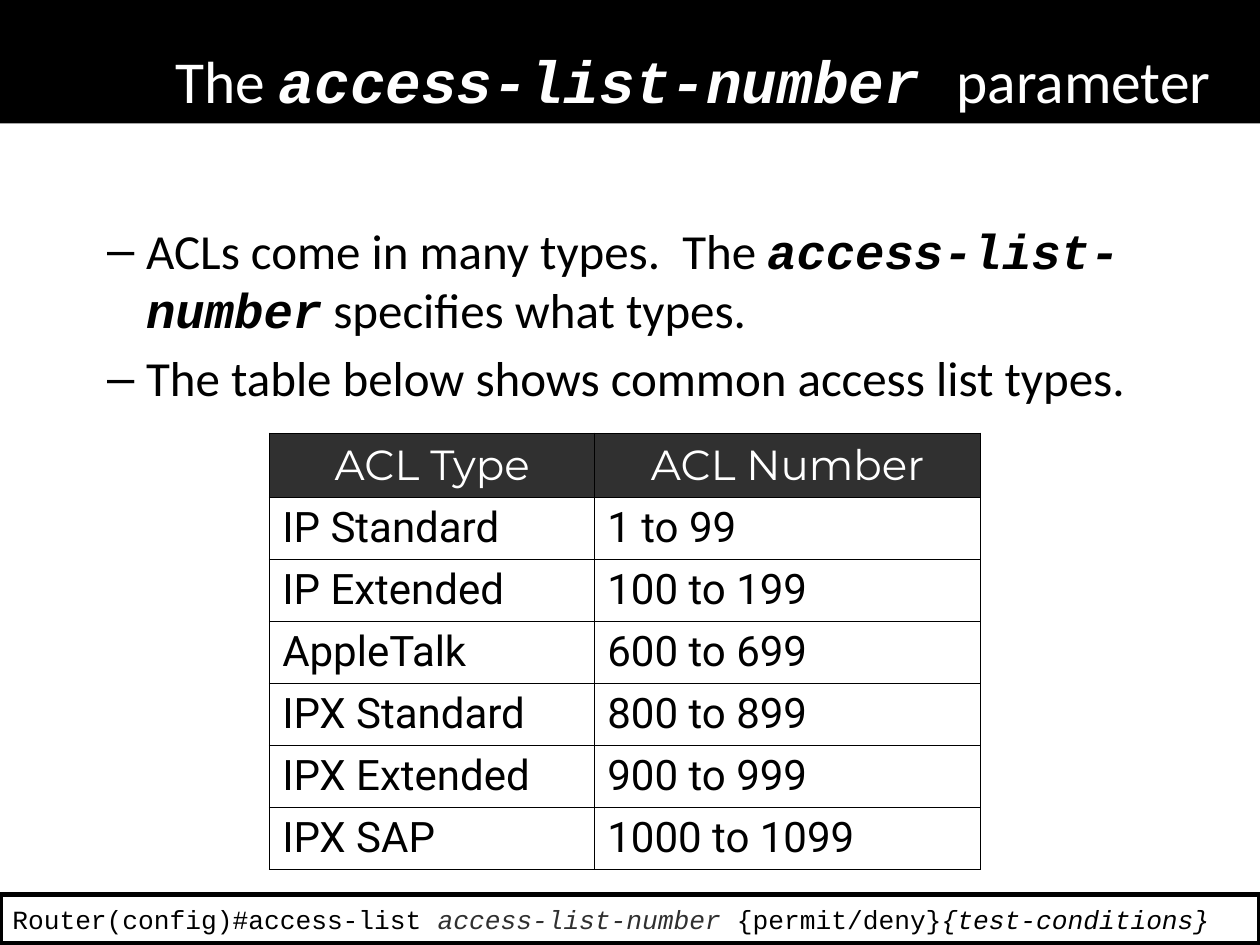
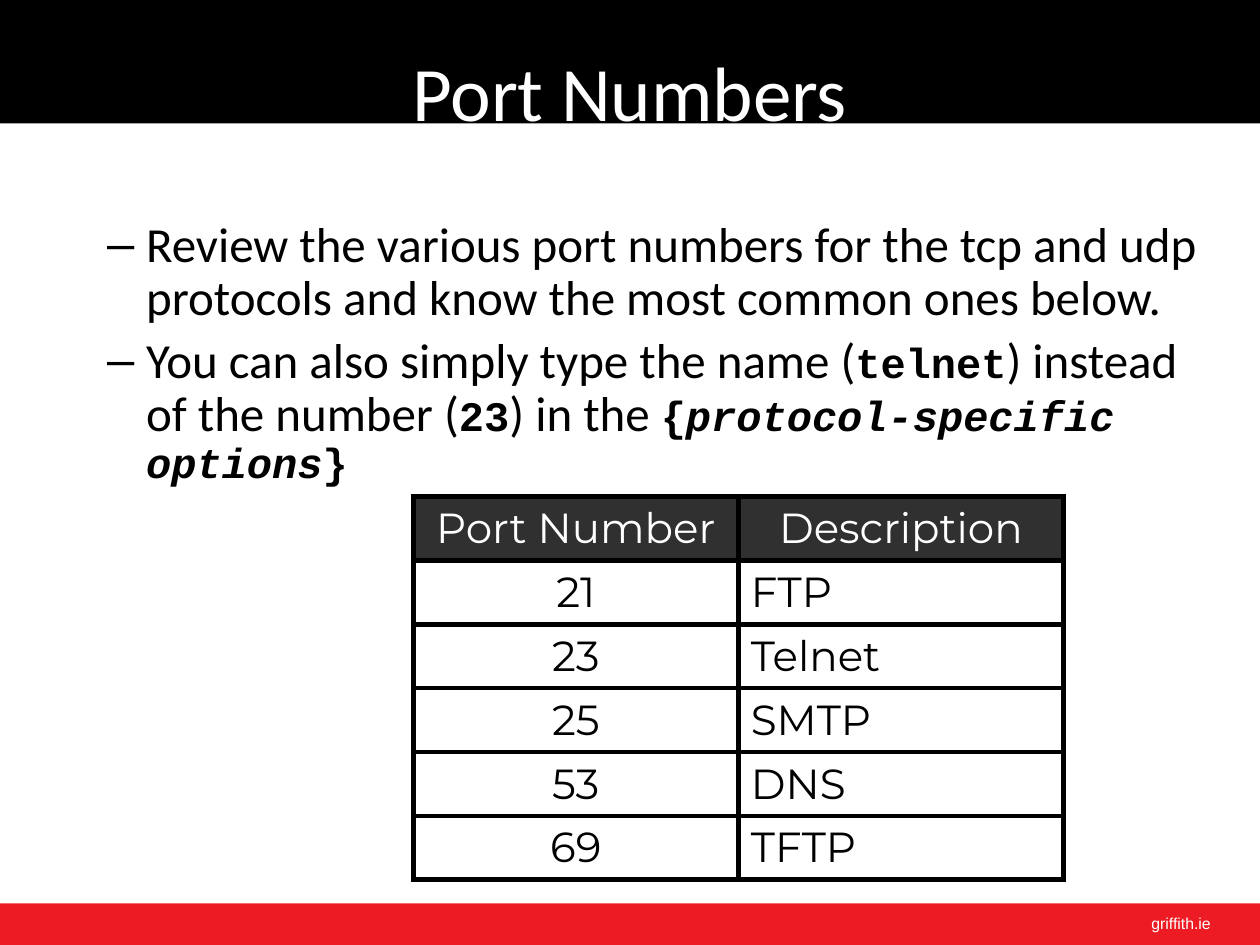
import pptx
import pptx.util
import pptx.dml.color
import pptx.enum.shapes
import pptx.enum.text
import pptx.oxml

RGBColor = pptx.dml.color.RGBColor
Inches = pptx.util.Inches
Pt = pptx.util.Pt
ALIGN = pptx.enum.text.PP_ALIGN
ANCHOR = pptx.enum.text.MSO_ANCHOR

BLACK = RGBColor(0x00, 0x00, 0x00)
WHITE = RGBColor(0xFF, 0xFF, 0xFF)
CHARCOAL = RGBColor(0x30, 0x30, 0x30)
RED = RGBColor(0xED, 0x1C, 0x24)
WIDTH, HEIGHT = 10, 7.5
TEXT, MONO, HEAD = "Calibri", "Courier New", "Montserrat"
CODE = dict(font=MONO, bold=True)
CODE_ITALIC = dict(CODE, italic=True)
SMALL_CODE = dict(CODE, size=24)
SMALL_CODE_ITALIC = dict(CODE_ITALIC, size=24)

SLIDES = [
    dict(
        title=[("The ", {}), ("access-list-number ", CODE_ITALIC), ("parameter", {})],
        title_left=1, title_size=34, body_height=1.72, line_spacing=1.0,
        bullets=[
            [("ACLs come in many types.  The ", {}), ("access-list-number", CODE_ITALIC),
             (" specifies what types.", {})],
            [("The table below shows common access list types.", {})],
        ],
        table=dict(
            left=2.14, top=3.44, columns=[2.58, 3.06], row_height=0.48, border=1,
            font="Roboto", aligns=[ALIGN.LEFT, ALIGN.LEFT],
            rows=[("ACL Type", "ACL Number"), ("IP Standard", "1 to 99"),
                  ("IP Extended", "100 to 199"), ("AppleTalk", "600 to 699"),
                  ("IPX Standard", "800 to 899"), ("IPX Extended", "900 to 999"),
                  ("IPX SAP", "1000 to 1099")]),
        command=[("Router(config)#access-list ", {}),
                 ("access-list-number ", dict(color=CHARCOAL, italic=True)),
                 ("{permit/deny}", {}), ("{test-conditions}", dict(italic=True))],
    ),
    dict(
        title=[("Port Numbers", {})],
        title_left=0.5, title_size=44, body_height=1.99, line_spacing=0.9,
        bullets=[
            [("Review the various port numbers for the tcp and udp protocols "
              "and know the most common ones below.", {})],
            [("You can also simply type the name (", {}), ("telnet", SMALL_CODE),
             (") instead of the number (", {}), ("23", SMALL_CODE), (") in the ", {}),
             ("{", SMALL_CODE), ("protocol-specific options", SMALL_CODE_ITALIC),
             ("}", SMALL_CODE)],
        ],
        table=dict(
            left=3.28, top=3.94, columns=[2.58, 2.58], row_height=0.46, border=3,
            font=HEAD, aligns=[ALIGN.CENTER, ALIGN.LEFT],
            rows=[("Port Number", "Description"), ("21", "FTP"), ("23", "Telnet"),
                  ("25", "SMTP"), ("53", "DNS"), ("69", "TFTP")]),
        footer="griffith.ie",
    ),
]


def add_runs(p, runs, **base):
    for text, changes in runs:
        style = dict(base, **changes)
        r = p.add_run()
        r.text = text
        r.font.name = style["font"]
        r.font.size = Pt(style["size"])
        r.font.color.rgb = style["color"]
        r.font.bold = style.get("bold", False)
        r.font.italic = style.get("italic", False)


def place(sp, left, top, width, height):
    sp.left, sp.top = Inches(left), Inches(top)
    sp.width, sp.height = Inches(width), Inches(height)


def set_frame(tf, anchor=ANCHOR.TOP):
    tf.word_wrap = True
    tf.auto_size = pptx.enum.text.MSO_AUTO_SIZE.NONE
    tf.vertical_anchor = anchor
    return tf


def add_rect(s, top, height, fill, line_width=0):
    sp = s.shapes.add_shape(pptx.enum.shapes.MSO_SHAPE.RECTANGLE,
                            0, Inches(top), Inches(WIDTH), Inches(height))
    sp.shadow.inherit = False
    sp.fill.solid()
    sp.fill.fore_color.rgb = fill
    if line_width:
        sp.line.color.rgb = BLACK
        sp.line.width = Pt(line_width)
    else:
        sp.line.fill.background()
    return sp


def add_bands(s):
    for top, height, fill in [(0, 0.98, BLACK), (HEIGHT - 0.33, 0.33, RED)]:
        band = add_rect(s, top, height, fill)
        s.shapes.title.element.addprevious(band.element)


def fill_title(s, item):
    sp = s.shapes.title
    place(sp, item["title_left"], 0.3, 9, 1.25)
    p = set_frame(sp.text_frame).paragraphs[0]
    p.alignment = ALIGN.CENTER
    add_runs(p, item["title"], font=TEXT, size=item["title_size"], color=WHITE)


def fill_body(s, item):
    sp = s.placeholders[1]
    place(sp, 0.25, 1.7, 9.41, item["body_height"])
    tf = set_frame(sp.text_frame)
    for i, runs in enumerate(item["bullets"]):
        p = tf.add_paragraph() if i else tf.paragraphs[0]
        p.level = 1
        pPr = p._p.get_or_add_pPr()
        pPr.set("marL", str(Inches(0.81)))
        pPr.set("indent", str(Inches(-0.31)))
        p.line_spacing = item["line_spacing"]
        p.space_before = Pt(5.6 if i else 0)
        add_runs(p, runs, font=TEXT, size=28, color=BLACK)


def set_borders(cell, width):
    tcPr = cell._tc.get_or_add_tcPr()
    for side in "LRTB":
        tcPr.append(pptx.oxml.parse_xml(
            f'<a:ln{side} xmlns:a="http://schemas.openxmlformats.org/drawingml/2006/main" '
            f'w="{Pt(width)}"><a:solidFill><a:srgbClr val="{BLACK}"/></a:solidFill></a:ln{side}>'))


def add_grid(s, spec):
    rows, columns = spec["rows"], spec["columns"]
    table = s.shapes.add_table(
        len(rows), len(columns), Inches(spec["left"]), Inches(spec["top"]),
        Inches(sum(columns)), Inches(spec["row_height"] * len(rows))).table
    table.horz_banding = False
    for column, width in zip(table.columns, columns):
        column.width = Inches(width)
    for i, row in enumerate(rows):
        table.rows[i].height = Inches(spec["row_height"])
        for j, text in enumerate(row):
            header = i == 0
            cell = table.cell(i, j)
            set_borders(cell, spec["border"])
            cell.fill.solid()
            cell.fill.fore_color.rgb = CHARCOAL if header else WHITE
            p = cell.text_frame.paragraphs[0]
            p.alignment = ALIGN.CENTER if header else spec["aligns"][j]
            add_runs(p, [(text, {})], font=HEAD if header else spec["font"],
                     size=24, color=WHITE if header else BLACK)


def add_command(s, runs):
    sp = add_rect(s, 7.1, 0.39, WHITE, 3)
    p = set_frame(sp.text_frame, ANCHOR.MIDDLE).paragraphs[0]
    p.alignment = ALIGN.LEFT
    add_runs(p, runs, font=MONO, size=15, color=BLACK)


def add_footer(s, text):
    sp = s.shapes.add_textbox(Inches(9.04), Inches(7.2), Inches(0.92), Inches(0.25))
    p = set_frame(sp.text_frame).paragraphs[0]
    add_runs(p, [(text, {})], font="Arial", size=9, color=WHITE)


def main():
    prs = pptx.Presentation()
    prs.slide_width, prs.slide_height = Inches(WIDTH), Inches(HEIGHT)
    for item in SLIDES:
        s = prs.slides.add_slide(prs.slide_layouts[1])
        add_bands(s)
        fill_title(s, item)
        fill_body(s, item)
        add_grid(s, item["table"])
        if "command" in item:
            add_command(s, item["command"])
        if "footer" in item:
            add_footer(s, item["footer"])
    prs.save("out.pptx")


if __name__ == "__main__":
    main()
